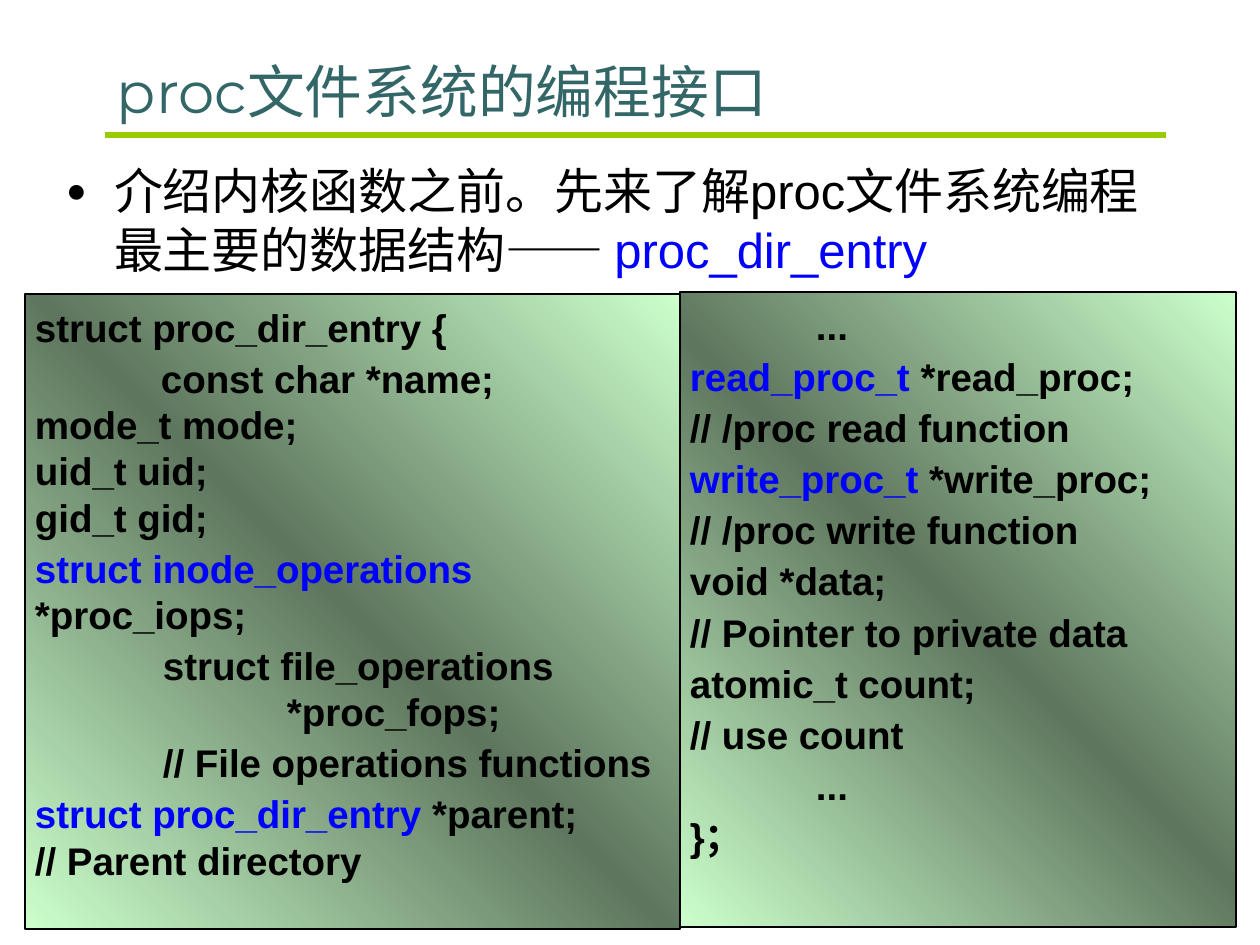
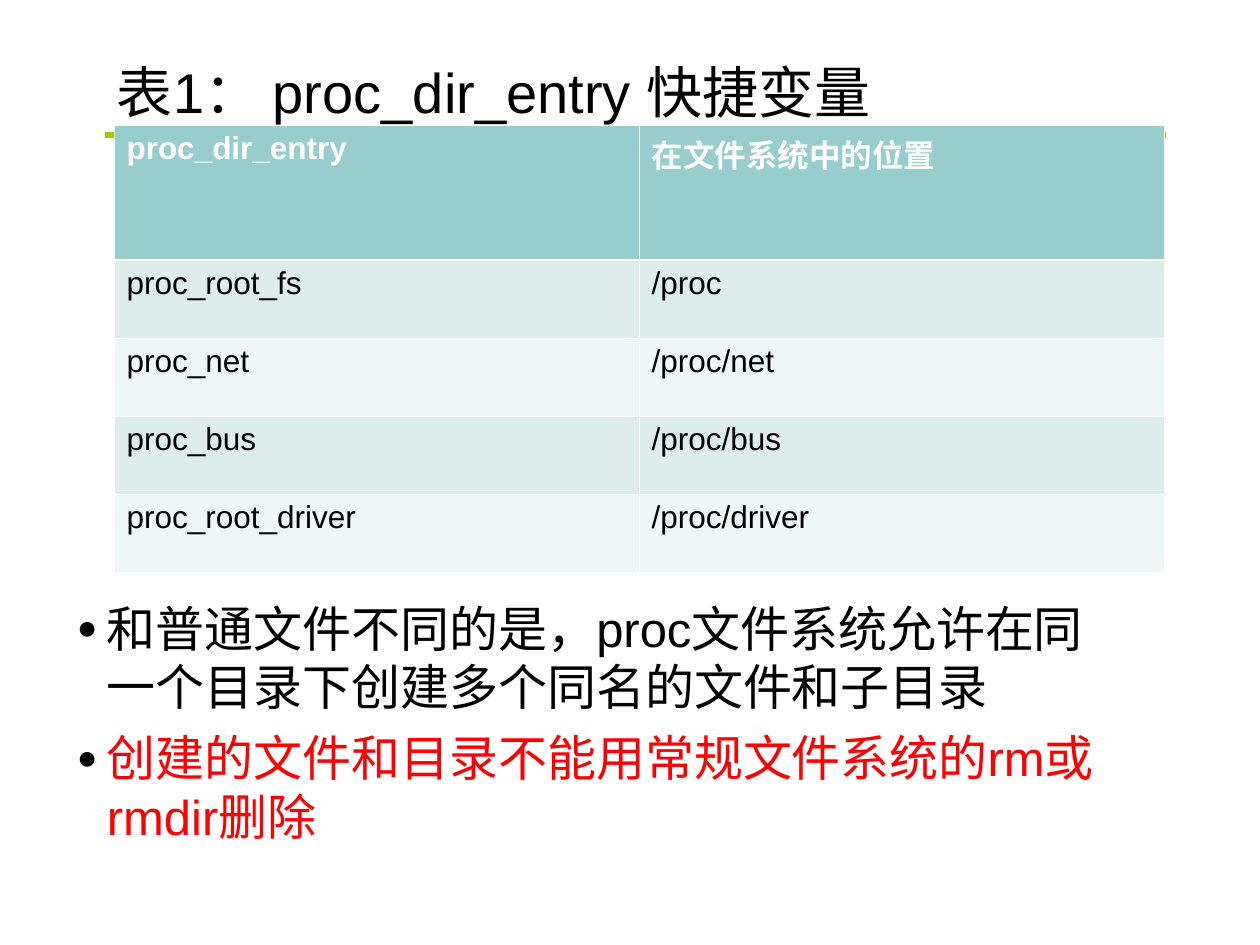
from copy import deepcopy

from lxml import etree
from pptx import Presentation
from pptx import util as u
from pptx.dml.color import RGBColor
from pptx.enum import shapes, text
from pptx.oxml import ns

EMU_PER_PX = 914400 / 126
COLORS = {
    "black": "000000", "white": "FFFFFF", "blue": "0000FF", "red": "FF0000",
    "teal": "336666", "rule": "99CC00", "mint": "CCFFCC", "moss": "5E765E",
    "header": "97CDCC", "odd_row": "DDEDEC", "even_row": "EFF6F6",
}
COLORS = {name: RGBColor.from_string(value) for name, value in COLORS.items()}


def px(*lengths):
    """Turn pixel lengths into EMU."""
    return [u.Emu(round(length * EMU_PER_PX)) for length in lengths]


def write_text(frame, paragraphs, size=28, font="Arial", color="black", bold=False,
               space=0, bullet_indent=0, tab_stops=(),
               insets=(13, 6, 13, 6), anchor=text.MSO_ANCHOR.TOP):
    """Fill a frame; a paragraph is a string or a list of (text, color) runs."""
    frame.word_wrap = True
    frame.vertical_anchor = anchor
    (frame.margin_left, frame.margin_top,
     frame.margin_right, frame.margin_bottom) = px(*insets)
    for index, runs in enumerate(paragraphs):
        paragraph = frame.add_paragraph() if index else frame.paragraphs[0]
        paragraph.alignment = text.PP_ALIGN.LEFT
        paragraph.space_before = u.Pt(space if index else 0)
        properties = paragraph._p.get_or_add_pPr()
        if bullet_indent:
            indent = px(bullet_indent)[0]
            properties.set("marL", str(indent))
            properties.set("indent", str(-indent))
            bullet_color = etree.SubElement(properties, ns.qn("a:buClr"))
            etree.SubElement(bullet_color, ns.qn("a:srgbClr"), val=str(COLORS["black"]))
            etree.SubElement(properties, ns.qn("a:buSzPct"), val="70000")
            etree.SubElement(properties, ns.qn("a:buFont"), typeface="Arial")
            etree.SubElement(properties, ns.qn("a:buChar"), char="●")
        if tab_stops:
            tab_list = etree.SubElement(properties, ns.qn("a:tabLst"))
            for position in px(*tab_stops):
                etree.SubElement(tab_list, ns.qn("a:tab"), pos=str(position), algn="l")
        for words, run_color in [(runs, color)] if isinstance(runs, str) else runs:
            for line_number, line in enumerate(words.split("\n")):
                if line_number:
                    paragraph.add_line_break()
                if line:
                    run = paragraph.add_run()
                    run.text = line
                    run.font.size = u.Pt(size)
                    run.font.name = font
                    run.font.bold = bold
                    run.font.color.rgb = COLORS[run_color]
        # Line breaks take the size of the text around them.
        for line_break in paragraph._p.findall(ns.qn("a:br")):
            etree.SubElement(line_break, ns.qn("a:rPr"), sz=str(size * 100))


presentation = Presentation()
presentation.slide_width, presentation.slide_height = px(1260, 945)

# Both slides: green rule and title
titles = [
    ("proc文件系统的编程接口", {"size": 33, "font": "Montserrat", "color": "teal"}),
    ("表1： proc_dir_entry 快捷变量", {"size": 32}),
]
for title, title_format in titles:
    slide = presentation.slides.add_slide(presentation.slide_layouts[6])
    rule = slide.shapes.add_connector(
        shapes.MSO_CONNECTOR.STRAIGHT, *px(105, 135, 1166, 135))
    rule.line.color.rgb = COLORS["rule"]
    rule.line.width = u.Pt(3)
    etree.SubElement(rule._element.spPr, ns.qn("a:effectLst"))
    title_box = slide.shapes.add_textbox(*px(105, 35, 1061, 96))
    write_text(title_box.text_frame, [title], insets=(12, 6, 12, 6),
               anchor=text.MSO_ANCHOR.BOTTOM, **title_format)
struct_slide, table_slide = presentation.slides

# Slide 1: introduction and the struct in two panels
intro = struct_slide.shapes.add_textbox(*px(54, 155, 1130, 139))
write_text(intro.text_frame, [[
    ("介绍内核函数之前。先来了解proc文件系统编程最主要的数据结构—— ", "black"),
    ("proc_dir_entry", "blue"),
]], bullet_indent=48, insets=(12, 6, 12, 6))

struct_start = [
    "struct proc_dir_entry {",
    "\tconst char *name;\nmode_t mode;\nuid_t uid;\ngid_t gid;",
    [("struct inode_operations\n", "blue"), ("*proc_iops;", "black")],
    "            struct file_operations\n\t\t*proc_fops;",
    "            // File operations functions",
    [("struct proc_dir_entry", "blue"), (" *parent;\n// Parent directory", "black")],
]
struct_end = [
    "\t...",
    [("read_proc_t", "blue"), (" *read_proc;", "black")],
    "// /proc read function",
    [("write_proc_t", "blue"), (" *write_proc;", "black")],
    "// /proc write function",
    "void *data;",
    "// Pointer to private data",
    "atomic_t count;",
    "// use count",
    "\t...",
    "}；",
]
for bounds, code in [((25, 294, 655, 635), struct_start),
                     ((680, 292, 556, 635), struct_end)]:
    panel = struct_slide.shapes.add_shape(shapes.MSO_SHAPE.RECTANGLE, *px(*bounds))
    panel.shadow.inherit = False
    panel.line.color.rgb = COLORS["black"]
    panel.line.width = u.Pt(1.5)
    panel.fill.gradient()
    panel.fill.gradient_angle = 225
    stop_list = panel._element.spPr.find(".//" + ns.qn("a:gsLst"))
    stop_list.insert(1, deepcopy(stop_list[0]))
    for stop, position, name in zip(panel.fill.gradient_stops, (0, 0.5, 1),
                                    ("mint", "moss", "mint")):
        stop.position = position
        stop.color.rgb = COLORS[name]
    write_text(panel.text_frame, code, size=22, bold=True, space=2.8,
               tab_stops=(126, 252), insets=(10, 10, 10, 10))

# Slide 2: notes below the table of shortcut variables
notes = table_slide.shapes.add_textbox(*px(64, 512, 1061, 397))
write_text(notes.text_frame, [
    "和普通文件不同的是，proc文件系统允许在同一个目录下创建多个同名的文件和子目录",
    [("创建的文件和目录不能用常规文件系统的rm或rmdir删除", "red")],
], space=7, bullet_indent=30, insets=(13, 86, 13, 6))

shortcuts = [
    ("proc_dir_entry", "在文件系统中的位置"),
    ("proc_root_fs", "/proc"),
    ("proc_net", "/proc/net"),
    ("proc_bus", "/proc/bus"),
    ("proc_root_driver", "/proc/driver"),
]
table = table_slide.shapes.add_table(
    len(shortcuts), 2, *px(114, 125, 1050, 447)).table
for column in table.columns:
    column.width = px(525)[0]
for row_index, values in enumerate(shortcuts):
    is_header = row_index == 0
    table.rows[row_index].height = px(135 if is_header else 78)[0]
    fill_name = "header" if is_header else "odd_row" if row_index % 2 else "even_row"
    for column_index, value in enumerate(values):
        cell = table.cell(row_index, column_index)
        properties = cell._tc.get_or_add_tcPr()
        for side in "LRTB":
            is_heavy = (row_index, side) in [(0, "B"), (1, "T")]
            border = etree.SubElement(properties, ns.qn(f"a:ln{side}"),
                                      w=str(u.Pt(1.5 if is_heavy else 0.5)))
            border_fill = etree.SubElement(border, ns.qn("a:solidFill"))
            etree.SubElement(border_fill, ns.qn("a:srgbClr"), val=str(COLORS["white"]))
        cell.fill.solid()
        cell.fill.fore_color.rgb = COLORS[fill_name]
        write_text(cell.text_frame, [value], size=18, bold=is_header,
                   color="white" if is_header else "black")

presentation.save("out.pptx")
